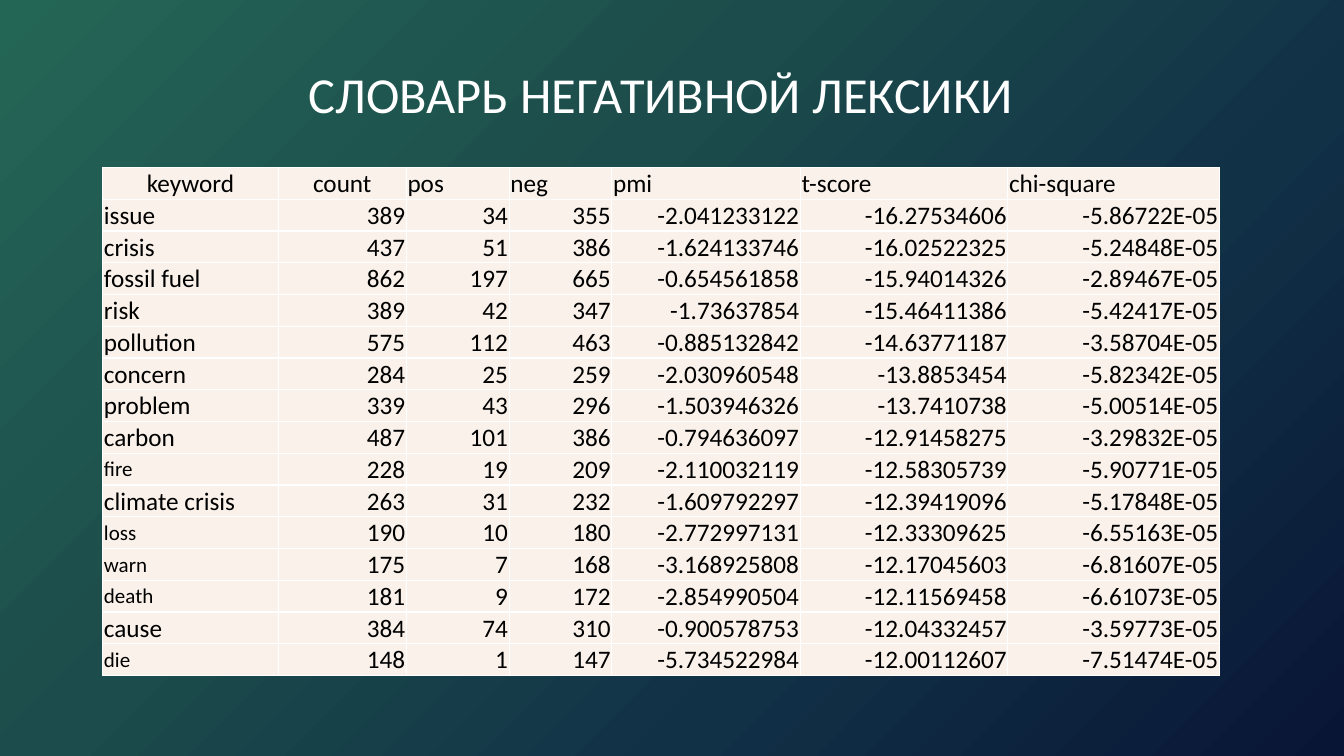
from lxml import etree
from pptx import Presentation
from pptx import util as u
from pptx.dml.color import RGBColor
from pptx.enum import text
from pptx.oxml import ns

WHITE = RGBColor(0xFF, 0xFF, 0xFF)
BLACK = RGBColor(0x00, 0x00, 0x00)
CREAM = RGBColor(0xFA, 0xF2, 0xEA)
BACKDROP = [
    (0, RGBColor(0x24, 0x66, 0x56)),
    (38, RGBColor(0x1C, 0x4C, 0x4B)),
    (68, RGBColor(0x11, 0x31, 0x47)),
    (100, RGBColor(0x09, 0x15, 0x35)),
]

LEFT, WIDTH = 2.59, 28.14
COLUMN_WIDTHS = [4.42, 3.23, 2.59, 2.59, 4.75, 5.23, 5.33]
ROW_HEIGHT = 0.8
HEADER = ["keyword", "count", "pos", "neg", "pmi", "t-score", "chi-square"]
CENTERED_HEADERS = {"keyword", "count"}
SMALL_KEYWORDS = {"fire", "loss", "warn", "death", "die"}
LEXICON = [
    ("issue", "389", "34", "355", "-2.041233122", "-16.27534606", "-5.86722E-05"),
    ("crisis", "437", "51", "386", "-1.624133746", "-16.02522325", "-5.24848E-05"),
    ("fossil fuel", "862", "197", "665", "-0.654561858", "-15.94014326", "-2.89467E-05"),
    ("risk", "389", "42", "347", "-1.73637854", "-15.46411386", "-5.42417E-05"),
    ("pollution", "575", "112", "463", "-0.885132842", "-14.63771187", "-3.58704E-05"),
    ("concern", "284", "25", "259", "-2.030960548", "-13.8853454", "-5.82342E-05"),
    ("problem", "339", "43", "296", "-1.503946326", "-13.7410738", "-5.00514E-05"),
    ("carbon", "487", "101", "386", "-0.794636097", "-12.91458275", "-3.29832E-05"),
    ("fire", "228", "19", "209", "-2.110032119", "-12.58305739", "-5.90771E-05"),
    ("climate crisis", "263", "31", "232", "-1.609792297", "-12.39419096", "-5.17848E-05"),
    ("loss", "190", "10", "180", "-2.772997131", "-12.33309625", "-6.55163E-05"),
    ("warn", "175", "7", "168", "-3.168925808", "-12.17045603", "-6.81607E-05"),
    ("death", "181", "9", "172", "-2.854990504", "-12.11569458", "-6.61073E-05"),
    ("cause", "384", "74", "310", "-0.900578753", "-12.04332457", "-3.59773E-05"),
    ("die", "148", "1", "147", "-5.734522984", "-12.00112607", "-7.51474E-05"),
]


def cell_style(row, column, value):
    """Return the alignment, anchor and text size of a cell."""
    align, anchor, size = text.PP_ALIGN.LEFT, text.MSO_ANCHOR.BOTTOM, 18
    if value in CENTERED_HEADERS:
        align, anchor = text.PP_ALIGN.CENTER, text.MSO_ANCHOR.TOP
    elif value in SMALL_KEYWORDS:
        anchor, size = text.MSO_ANCHOR.MIDDLE, 15
    elif row > 0 and column > 0:
        align = text.PP_ALIGN.RIGHT
    return align, anchor, size


class SlideBuilder:
    font = "Calibri"

    def __init__(self, page):
        self.page = page

    def background(self, stops):
        fill = self.page.background.fill
        fill.gradient()
        fill.gradient_angle = 315
        stop_list = self.page._element.find(".//" + ns.qn("a:gsLst"))
        for stop in list(stop_list):
            stop_list.remove(stop)
        for percent, color in stops:
            stop = etree.SubElement(stop_list, ns.qn("a:gs"), pos=str(percent * 1000))
            etree.SubElement(stop, ns.qn("a:srgbClr"), val=str(color))

    def add_words(self, frame, words, size, color, align):
        para = frame.paragraphs[0]
        para.alignment = align
        span = para.add_run()
        span.text = words
        span.font.name = self.font
        span.font.size = u.Pt(size)
        span.font.color.rgb = color

    def title(self, words):
        box = self.page.shapes.add_textbox(u.Cm(LEFT), u.Cm(1.02), u.Cm(WIDTH), u.Cm(4.04))
        frame = box.text_frame
        frame.word_wrap = True
        frame.vertical_anchor = text.MSO_ANCHOR.MIDDLE
        frame.margin_bottom = u.Cm(1.5)
        self.add_words(frame, words, 36, WHITE, text.PP_ALIGN.CENTER)

    def borders(self, cell):
        properties = cell._tc.get_or_add_tcPr()
        for position, side in enumerate(("lnL", "lnR", "lnT", "lnB")):
            line = etree.Element(ns.qn(f"a:{side}"), w=str(int(u.Pt(1))))
            solid = etree.SubElement(line, ns.qn("a:solidFill"))
            etree.SubElement(solid, ns.qn("a:srgbClr"), val=str(WHITE))
            properties.insert(position, line)

    def table(self, rows, top):
        shape = self.page.shapes.add_table(
            len(rows), len(COLUMN_WIDTHS), u.Cm(LEFT), u.Cm(top),
            u.Cm(WIDTH), u.Cm(ROW_HEIGHT * len(rows)))
        grid = shape.table
        for column, width in zip(grid.columns, COLUMN_WIDTHS):
            column.width = u.Cm(width)
        for r, values in enumerate(rows):
            grid.rows[r].height = u.Cm(ROW_HEIGHT)
            for c, value in enumerate(values):
                self.cell(grid.cell(r, c), value, *cell_style(r, c, value))

    def cell(self, cell, value, align, anchor, size):
        cell.fill.solid()
        cell.fill.fore_color.rgb = CREAM
        cell.margin_left = cell.margin_right = cell.margin_top = u.Cm(0.03)
        cell.margin_bottom = 0
        cell.vertical_anchor = anchor
        self.borders(cell)
        self.add_words(cell.text_frame, value, size, BLACK, align)


def main():
    deck = Presentation()
    deck.slide_width, deck.slide_height = u.Cm(33.87), u.Cm(19.05)
    builder = SlideBuilder(deck.slides.add_slide(deck.slide_layouts[6]))
    builder.background(BACKDROP)
    builder.title("СЛОВАРЬ НЕГАТИВНОЙ ЛЕКСИКИ")
    builder.table([HEADER, *LEXICON], top=4.22)
    deck.save("out.pptx")


if __name__ == "__main__":
    main()
